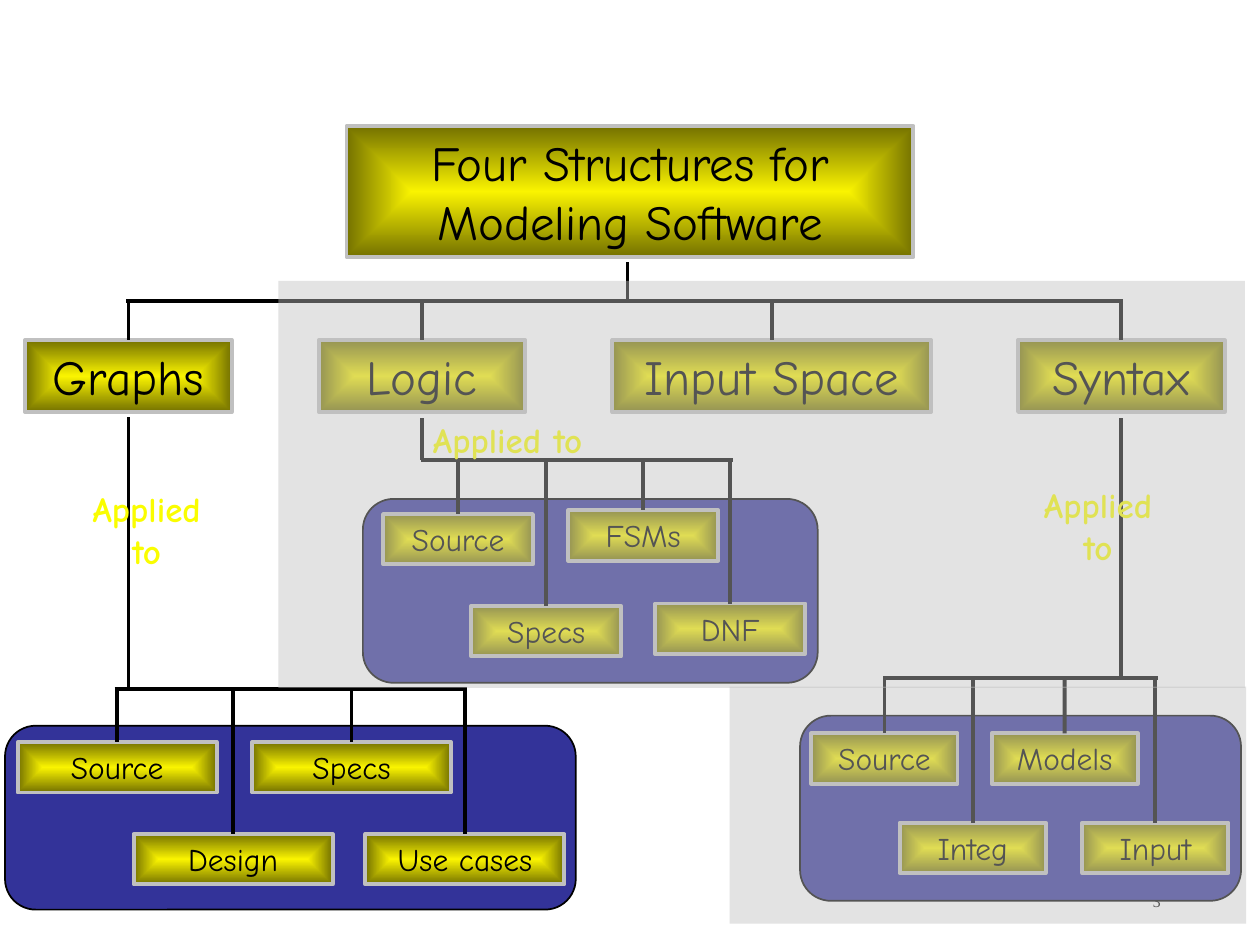
"""Build a slide showing four structures for modeling software as a tree."""
import lxml.etree
import pptx
import pptx.dml.color
import pptx.enum.shapes
import pptx.enum.text
import pptx.oxml.ns
import pptx.util

Inches = pptx.util.Inches
Pt = pptx.util.Pt
qn = pptx.oxml.ns.qn
SHAPES = pptx.enum.shapes.MSO_SHAPE
ALIGN = pptx.enum.text.PP_ALIGN
ANCHOR = pptx.enum.text.MSO_ANCHOR

BLACK, YELLOW, OLIVE, SILVER, NAVY, LABEL = "000000", "FAF400", "747100", "C0C0C0", "333399", "FAFD00"
TITLE = ("Four Structures for Modeling Software", (2.75, 1, 4.5, 1.04))
STRUCTURES = [("Graphs", 0.2, 1.64), ("Logic", 2.53, 1.64), ("Input Space", 4.86, 2.53), ("Syntax", 8.08, 1.64)]
STRUCTURE_TOP, STRUCTURE_HEIGHT = 2.7, 0.57
MAIN_RAIL = (1, 8.91, 2.39)
MAIN_STEM = (4.98, 2.08)
BOX_HEIGHT = 0.4
BRANCHES = [
    {
        "panel": (0.04, 5.76, 4.53, 1.46), "box_width": 1.58,
        "boxes": [("Use cases", 2.9, 6.62), ("Specs", 2, 5.89), ("Design", 1.06, 6.62), ("Source", 0.14, 5.89)],
        "rail": (0.91, 3.71, 5.47), "stem": (1.02, 3.31), "label": (0.55, 3.82, 1.23, 0.77),
    },
    {
        "panel": (2.88, 3.96, 3.61, 1.46), "box_width": 1.19,
        "boxes": [("DNF", 5.2, 4.79), ("Specs", 3.74, 4.81), ("FSMs", 4.51, 4.05), ("Source", 3.04, 4.08)],
        "rail": (3.34, 5.82, 3.65), "stem": (3.35, 3.32), "label": (3.16, 3.27, 1.74, 0.44),
    },
    {
        "panel": (6.35, 5.68, 3.5, 1.47), "box_width": 1.16,
        "boxes": [("Input", 8.59, 6.53), ("Models", 7.87, 5.82), ("Integ", 7.14, 6.53), ("Source", 6.44, 5.82)],
        "rail": (7.01, 9.19, 5.38), "stem": (8.9, 3.32), "label": (8.1, 3.79, 1.23, 0.77),
    },
]
VEILS = [(2.21, 2.23, 7.67, 3.23), (5.79, 5.45, 4.1, 1.88)]
PAGE_NUMBER = ("3", (7.06, 6.95, 2.25, 0.4))


def paint(color_format, color):
    color_format.rgb = pptx.dml.color.RGBColor.from_string(color)


def write(box, text, size=18, color=BLACK, font="Comic Neue", bold=False, align=ALIGN.CENTER, anchor=ANCHOR.TOP):
    frame = box.text_frame
    frame.word_wrap = True
    frame.auto_size = pptx.enum.text.MSO_AUTO_SIZE.NONE
    frame.vertical_anchor = anchor
    frame.margin_left = frame.margin_right = Inches(0.1)
    frame.margin_top = frame.margin_bottom = Inches(0.05)
    para = frame.paragraphs[0]
    para.alignment = align
    para.space_before = Pt(0)
    span = para.add_run()
    span.text = text
    span.font.size, span.font.name, span.font.bold = Pt(size), font, bold
    paint(span.font.color, color)


def outline(box, color, width):
    paint(box.line.color, color)
    box.line.width = Pt(width)


def glow(box):
    box.fill.gradient()
    for stop, color, position in zip(box.fill.gradient_stops, (YELLOW, OLIVE), (0, 1)):
        paint(stop.color, color)
        stop.position = position
    gradient = box._element.spPr.find(qn("a:gradFill"))
    linear = gradient.find(qn("a:lin"))
    center = lxml.etree.Element(qn("a:path"), {"path": "rect"})
    lxml.etree.SubElement(center, qn("a:fillToRect"), {side: "50000" for side in "ltrb"})
    gradient.replace(linear, center)
    outline(box, SILVER, 2.25)


def add_shape(page, kind, bounds):
    box = page.shapes.add_shape(kind, *map(Inches, bounds))
    box.shadow.inherit = False
    return box


def add_node(page, text, bounds, size):
    box = add_shape(page, SHAPES.RECTANGLE, bounds)
    glow(box)
    write(box, text, size=size)
    return box


def add_line(page, start, end, target=None):
    line = page.shapes.add_connector(pptx.enum.shapes.MSO_CONNECTOR.STRAIGHT, *map(Inches, start + end))
    outline(line, BLACK, 2.25)
    lxml.etree.SubElement(line._element.spPr, qn("a:effectLst"))
    if target is not None:
        line.end_connect(target, 0)


def add_tree(page, nodes, rail, stem):
    left, right, level = rail
    add_line(page, (left, level), (right, level))
    add_line(page, stem, (stem[0], level))
    for node in nodes:
        center = (node.left + node.width / 2) / Inches(1)
        add_line(page, (center, level), (center, node.top / Inches(1)), node)


def add_label(page, text, bounds, **style):
    write(page.shapes.add_textbox(*map(Inches, bounds)), text, **style)


def add_branch(page, branch):
    panel = add_shape(page, SHAPES.ROUNDED_RECTANGLE, branch["panel"])
    panel.fill.solid()
    paint(panel.fill.fore_color, NAVY)
    outline(panel, BLACK, 1)
    nodes = [add_node(page, text, (left, top, branch["box_width"], BOX_HEIGHT), 18)
             for text, left, top in branch["boxes"]]
    add_tree(page, nodes, branch["rail"], branch["stem"])
    add_label(page, "Applied to", branch["label"], size=20, color=LABEL, bold=True)


def add_veil(page, bounds):
    veil = add_shape(page, SHAPES.RECTANGLE, bounds)
    veil.fill.solid()
    paint(veil.fill.fore_color, SILVER)
    veil.line.fill.background()
    color = veil._element.spPr.find(qn("a:solidFill"))[0]
    lxml.etree.SubElement(color, qn("a:alpha"), {"val": "44000"})


def main():
    deck = pptx.Presentation()
    deck.slide_width, deck.slide_height = Inches(10), Inches(7.5)
    page = deck.slides.add_slide(deck.slide_layouts[5])
    text, bounds = TITLE
    title = page.shapes.title
    title.left, title.top, title.width, title.height = map(Inches, bounds)
    glow(title)
    write(title, text, size=28)
    number, bounds = PAGE_NUMBER
    add_label(page, number, bounds, size=9, font="Times New Roman", align=ALIGN.RIGHT, anchor=ANCHOR.MIDDLE)
    nodes = [add_node(page, text, (left, STRUCTURE_TOP, width, STRUCTURE_HEIGHT), 28)
             for text, left, width in STRUCTURES]
    add_tree(page, nodes, MAIN_RAIL, MAIN_STEM)
    for branch in BRANCHES:
        add_branch(page, branch)
    for bounds in VEILS:
        add_veil(page, bounds)
    deck.save("out.pptx")


if __name__ == "__main__":
    main()
